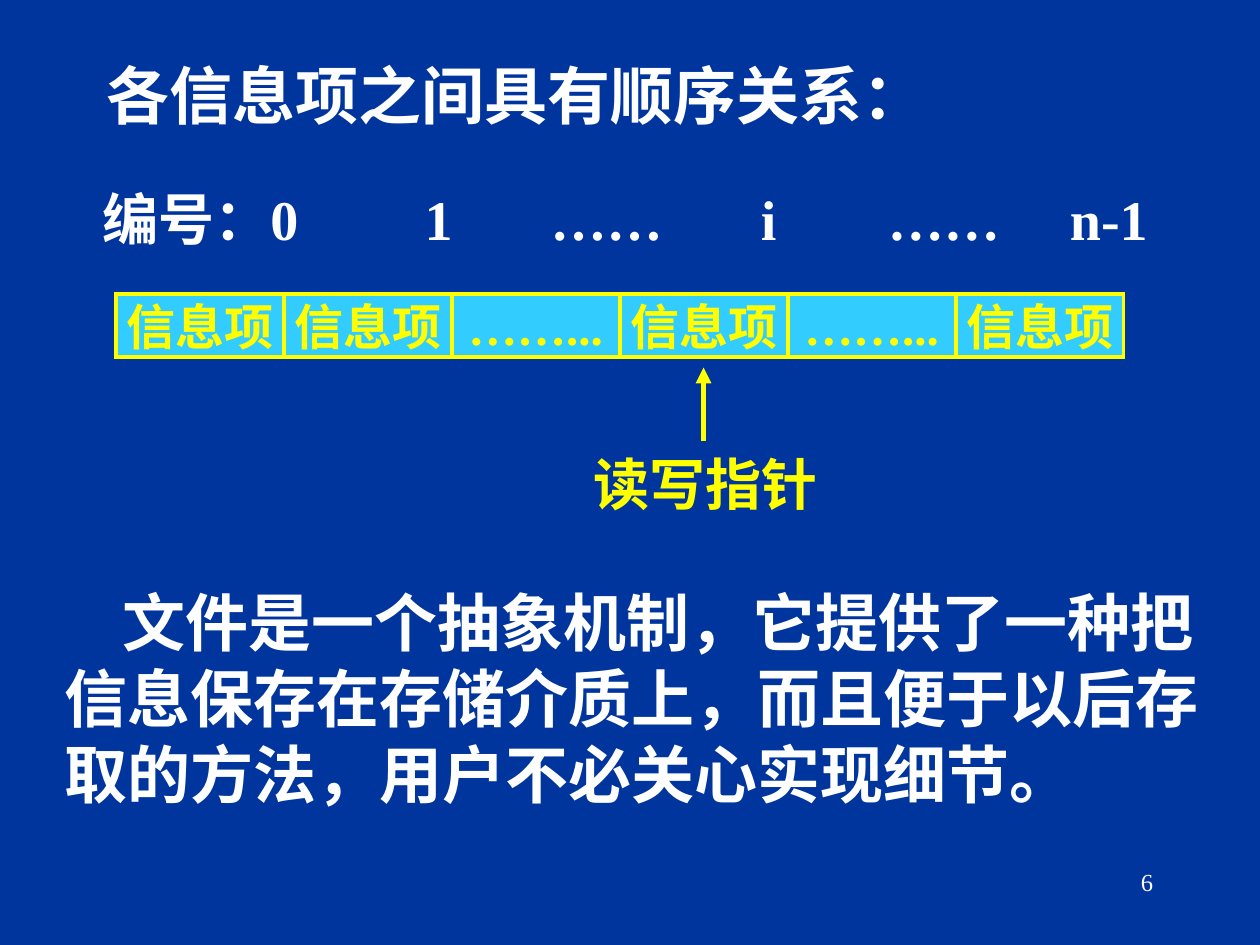
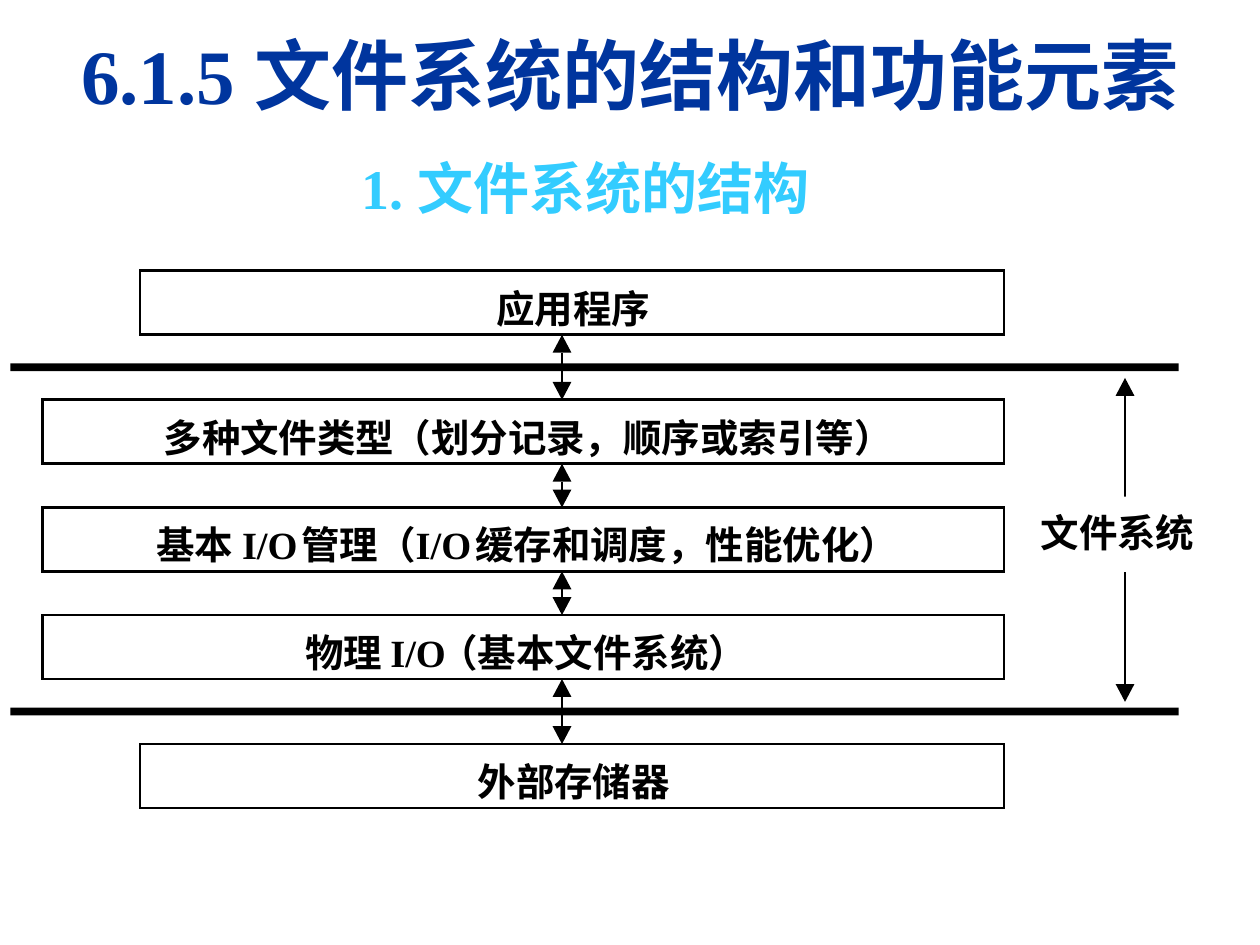
from dataclasses import dataclass

from lxml import etree
from pptx import Presentation
from pptx.dml.color import RGBColor
from pptx.enum.shapes import MSO_CONNECTOR as Connector, MSO_SHAPE as Preset
from pptx.enum.text import MSO_ANCHOR as Anchor, MSO_AUTO_SIZE as AutoSize, PP_ALIGN as Align
from pptx.oxml.ns import qn
from pptx.util import Cm, Pt


@dataclass(frozen=True)
class Theme:
    navy: str = "00359E"
    sky: str = "33CCFF"
    yellow: str = "FFFF00"
    white: str = "FFFFFF"
    black: str = "000000"
    latin: str = "Times New Roman"
    chinese: str = "Noto Sans CJK SC"
    headline: int = 44
    body: int = 36
    label: int = 32
    cell: int = 28
    layer: int = 22
    page: int = 14


@dataclass(frozen=True)
class Box:
    """A rectangle in centimetres."""
    left: float
    top: float
    width: float
    height: float

    def inner(self, left, top, width, height):
        return Box(self.left + left, self.top + top, width, height)

    def lengths(self):
        return [Cm(value) for value in (self.left, self.top, self.width, self.height)]


THEME = Theme()


# Shared helpers

def write_text(shape, text, *, size, color, font=THEME.latin, bold=True,
               align=Align.LEFT, anchor=Anchor.MIDDLE, wrap=True,
               insets=(0.25, 0.13, 0.25, 0.13), before=0, indent=0, tabs=()):
    """Fill a shape with one formatted paragraph; insets run left, top, right, bottom."""
    frame = shape.text_frame
    frame.auto_size = AutoSize.NONE
    frame.word_wrap = wrap
    frame.vertical_anchor = anchor
    (frame.margin_left, frame.margin_top,
     frame.margin_right, frame.margin_bottom) = map(Cm, insets)
    paragraph = frame.paragraphs[0]
    paragraph.alignment = align
    paragraph.space_before = Pt(before)
    run = paragraph.add_run()
    run.text = text
    run.font.size = Pt(size)
    run.font.bold = bold
    run.font.color.rgb = RGBColor.from_string(color)
    run.font.name = font
    etree.SubElement(run._r.get_or_add_rPr(), qn("a:ea"), typeface=THEME.chinese)
    properties = paragraph._p.get_or_add_pPr()
    if indent:
        properties.set("marL", "0")
        properties.set("indent", str(Cm(indent)))
    if tabs:
        tab_list = etree.SubElement(properties, qn("a:tabLst"))
        for position in tabs:
            etree.SubElement(tab_list, qn("a:tab"), pos=str(Cm(position)), algn="l")


def add_text(slide, box, text, **text_format):
    write_text(slide.shapes.add_textbox(*box.lengths()), text, **text_format)


def add_title(slide, box, text, **text_format):
    title = slide.shapes.title
    title.left, title.top, title.width, title.height = box.lengths()
    write_text(title, text, **text_format)


def paint(shape, fill=None, line=None, width=1.5):
    shape.shadow.inherit = False
    if fill:
        shape.fill.solid()
        shape.fill.fore_color.rgb = RGBColor.from_string(fill)
    else:
        shape.fill.background()
    if line:
        shape.line.color.rgb = RGBColor.from_string(line)
        shape.line.width = Pt(width)
        etree.SubElement(shape.line._get_or_add_ln(), qn("a:miter"), lim="800000")
    else:
        shape.line.fill.background()


def add_rectangle(slide, box, *colors):
    shape = slide.shapes.add_shape(Preset.RECTANGLE, *box.lengths())
    paint(shape, *colors)
    return shape


def add_vertical_line(slide, x, start, end, color, width):
    line = slide.shapes.add_connector(Connector.STRAIGHT, Cm(x), Cm(start), Cm(x), Cm(end))
    line.line.color.rgb = RGBColor.from_string(color)
    line.line.width = Pt(width)
    etree.SubElement(line._element.spPr, qn("a:effectLst"))
    return line


def add_double_arrow(slide, x, top, bottom):
    """Vertical line with a large solid head at each end."""
    head_length, half_width = 0.36, 0.19
    add_vertical_line(slide, x, top + head_length, bottom - head_length, THEME.black, 1.5)
    for tip, base in ((top, top + head_length), (bottom, bottom - head_length)):
        builder = slide.shapes.build_freeform(Cm(x - half_width), Cm(base))
        builder.add_line_segments([(Cm(x), Cm(tip)), (Cm(x + half_width), Cm(base))], close=True)
        paint(builder.convert_to_shape(), THEME.black)


def new_slide(presentation, background):
    slide = presentation.slides.add_slide(presentation.slide_layouts[5])
    slide.background.fill.solid()
    slide.background.fill.fore_color.rgb = RGBColor.from_string(background)
    return slide


# Sequence slide

def draw_record_row(slide, box):
    """Numbered cells with the read/write pointer below the fourth one."""
    labels = ["信息项", "信息项", "……...", "信息项", "……...", "信息项"]
    cell_width = box.width / len(labels)
    for index, label in enumerate(labels):
        cell = add_rectangle(slide, box.inner(index * cell_width, 0, cell_width, box.height),
                             THEME.sky, THEME.yellow, 2.25)
        write_text(cell, label, size=THEME.cell, color=THEME.yellow,
                   align=Align.CENTER, wrap=False)

    # Cell numbers
    add_text(slide, box.inner(-0.52, -2.34, 22.4, 1.63),
             "编号：0\t1\t……\ti\t……\tn-1", size=THEME.label, color=THEME.white,
             tabs=(6.5, 9.04, 13.28, 15.84, 19.51))

    # Pointer
    pointer_x = box.left + 3.5 * cell_width
    bottom = box.top + box.height
    add_text(slide, Box(pointer_x - 2.48, bottom + 1.72, 5.04, 1.63), "读写指针",
             size=THEME.label, color=THEME.yellow, align=Align.CENTER, wrap=False)
    pointer = add_vertical_line(slide, pointer_x, bottom + 1.69, bottom + 0.21, THEME.yellow, 3)
    etree.SubElement(pointer.line._get_or_add_ln(), qn("a:tailEnd"), type="triangle")


def build_sequence_slide(presentation):
    slide = new_slide(presentation, THEME.navy)
    add_title(slide, Box(1.9, 0.85, 21.6, 2.1), "各信息项之间具有顺序关系：",
              size=THEME.body, color=THEME.white, font=THEME.chinese)
    draw_record_row(slide, Box(2.33, 5.93, 20.32, 1.27))
    add_text(slide, Box(1.06, 11.64, 23.5, 5.5),
             "文件是一个抽象机制，它提供了一种把信息保存在存储介质上，"
             "而且便于以后存取的方法，用户不必关心实现细节。",
             size=THEME.body, color=THEME.white, font=THEME.chinese,
             anchor=Anchor.TOP, before=9, indent=1.16)
    add_text(slide, Box(18.2, 17.35, 5.3, 1.27), "6", size=THEME.page,
             color=THEME.white, bold=False, align=Align.RIGHT, anchor=Anchor.TOP)


# Structure slide

def add_layer_text(slide, left, top, text):
    """Label piece without insets, as wide as its characters."""
    latin = text.isascii()
    width = 1.12 if latin else len(text) * 0.776
    add_text(slide, Box(left, top, width, 0.94), text, size=THEME.layer, color=THEME.black,
             font=THEME.latin if latin else THEME.chinese,
             anchor=Anchor.TOP, wrap=False, insets=(0, 0, 0, 0))


def draw_layers(slide, box):
    """Stacked layers; a thick rule marks each border of the file system."""
    layer_height, gap, border_gap, rule_height = 1.29, 0.88, 1.31, 0.16
    outer_indent, text_top = 1.96, 0.28
    arrow_x = box.left + 10.47
    layers = [  # is outside the file system, label pieces by left offset
        (True, {9.15: "应用程序"}),
        (False, {2.44: "多种文件类型", 7.06: "（划分记录，顺序或索引等）"}),
        (False, {2.29: "基本", 4.02: "I/O", 5.21: "管理", 6.76: "（",
                 7.52: "I/O", 8.72: "缓存和调度，性能优化）"}),
        (False, {5.29: "物理", 7.01: "I/O", 8.0: "（基本文件系统）"}),
        (True, {8.77: "外部存储器"}),
    ]
    top = 0
    previous_outside = None
    for outside, pieces in layers:
        if previous_outside is not None:
            is_border = outside != previous_outside
            space = border_gap if is_border else gap
            if is_border:
                rule_top = top + (space - rule_height) / 2
                add_rectangle(slide, box.inner(-0.65, rule_top, 23.55, rule_height), THEME.black)
            add_double_arrow(slide, arrow_x, box.top + top, box.top + top + space)
            top += space
        indent = outer_indent if outside else 0
        add_rectangle(slide, box.inner(indent, top, box.width - indent, layer_height),
                      None, THEME.black)
        for left, piece in pieces.items():
            add_layer_text(slide, box.left + left, box.top + top + text_top, piece)
        top += layer_height
        previous_outside = outside


def draw_scope(slide, box):
    """Double arrow with its label over the middle."""
    add_double_arrow(slide, box.left + 1.75, box.top, box.top + box.height)
    add_rectangle(slide, box.inner(0, 2.39, box.width, 1.52), THEME.white)
    add_layer_text(slide, box.left + 0.05, box.top + 2.64, "文件系统")


def build_structure_slide(presentation):
    slide = new_slide(presentation, THEME.white)
    add_title(slide, Box(0.64, 0.64, 24.13, 1.7), "6.1.5 文件系统的结构和功能元素",
              size=THEME.headline, color=THEME.navy, align=Align.CENTER)
    add_text(slide, Box(7.03, 2.97, 9.8, 1.63), "1. 文件系统的结构",
             size=THEME.label, color=THEME.sky, anchor=Anchor.TOP, wrap=False)
    draw_layers(slide, Box(0.86, 5.46, 19.38, 10.83))
    draw_scope(slide, Box(20.93, 7.62, 4.37, 6.53))


def main():
    presentation = Presentation()
    presentation.slide_width, presentation.slide_height = Cm(25.4), Cm(19.05)
    build_sequence_slide(presentation)
    build_structure_slide(presentation)
    presentation.save("out.pptx")


if __name__ == "__main__":
    main()
